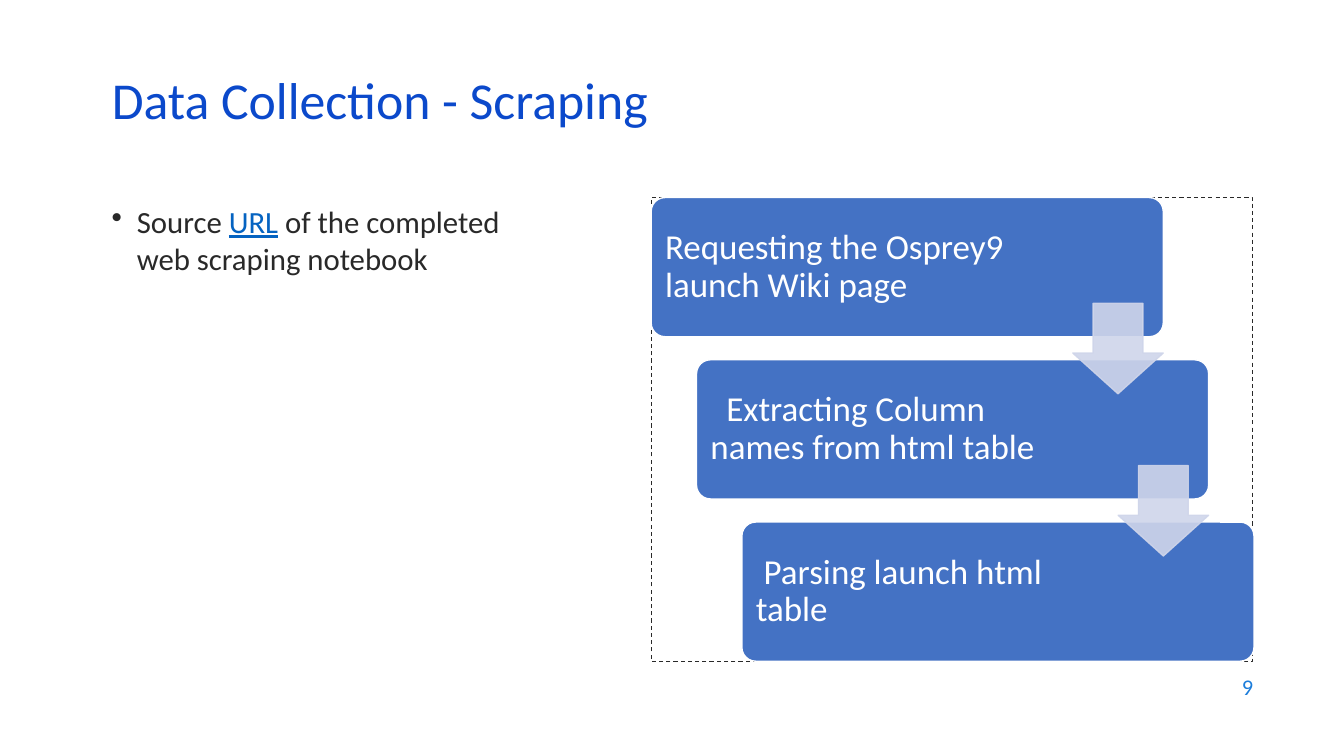
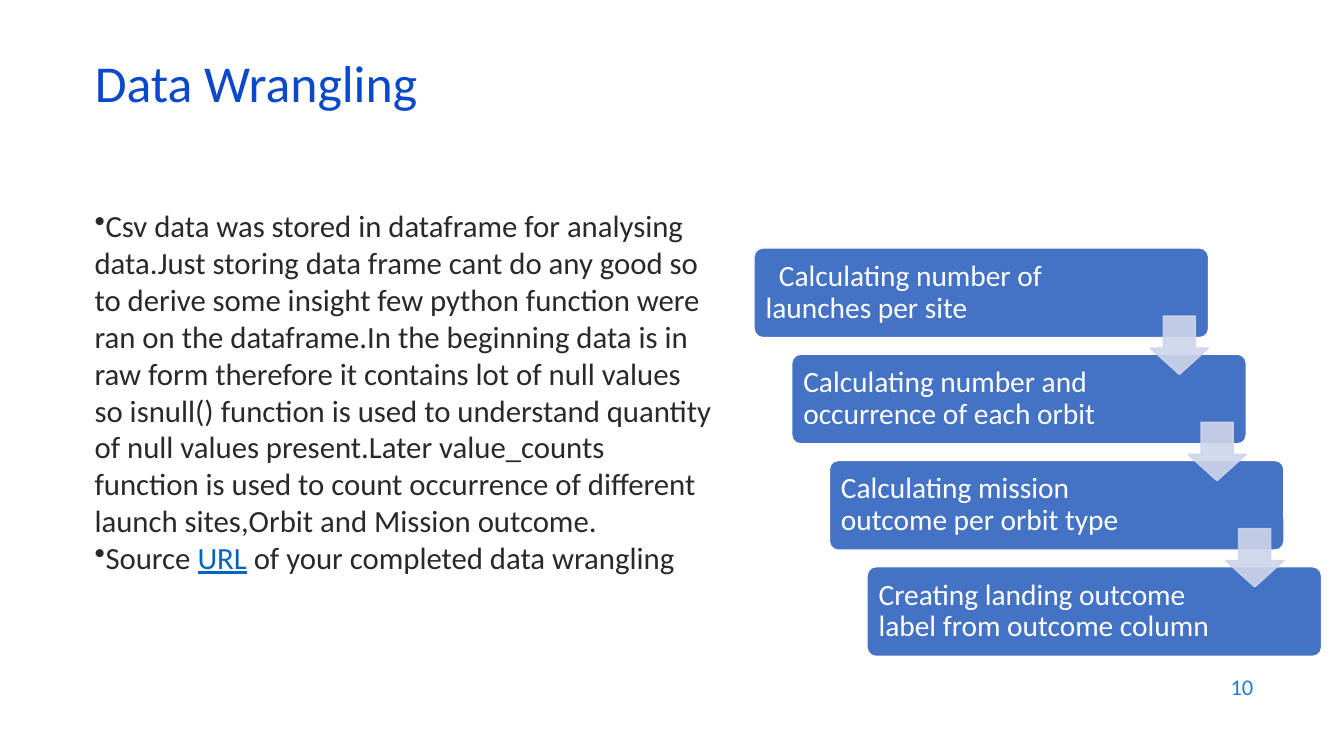
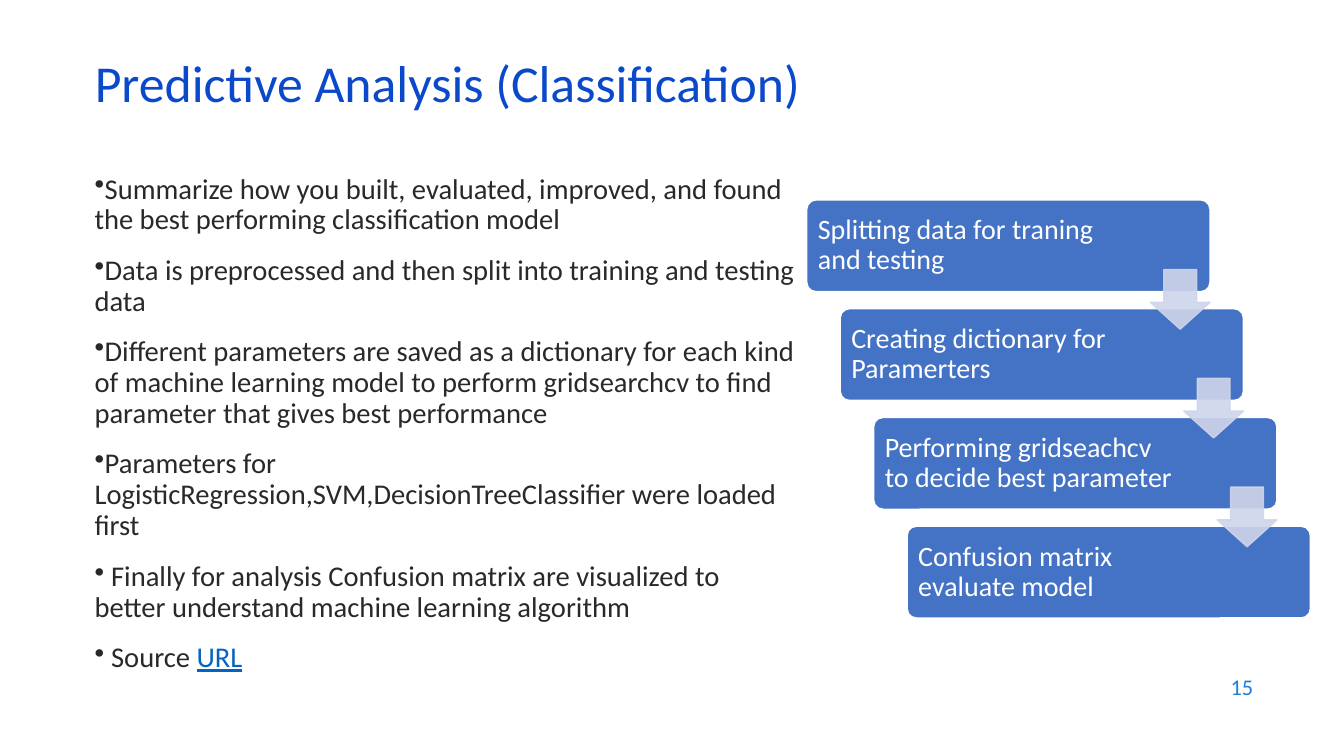
from pptx import Presentation
from pptx.dml.color import RGBColor
from pptx.enum.dml import MSO_LINE
from pptx.enum.shapes import MSO_SHAPE
from pptx.enum.text import MSO_ANCHOR, MSO_AUTO_SIZE, PP_ALIGN
from pptx.oxml.ns import qn
from pptx.util import Pt
from lxml import etree

# Shared style
BLUE, NUMBER_BLUE, LINK_BLUE = "0B49CB", "1C7DDB", "0563C1"
INK, WHITE, BOX_BLUE, ARROW_BLUE = "292929", "FFFFFF", "4472C4", "CFD5EA"
TITLE_W, TITLE_H = 828, 43.2
NUMBER_AT = (686.2, 474.5, 216, 31.7)
ARROW_SCALE, ARROW_DROP = 0.65, 0.76  # relative to box height


def rgb(value):
    return RGBColor.from_string(value)


def add_run(p, text, size, color, **extra):
    r = p.add_run()
    r.text = text
    r.font.color.rgb = rgb(color)
    for name, value in {"name": "Calibri", "size": Pt(size), **extra}.items():
        setattr(r.font, name, value)


# Slide content: each body paragraph is a list of runs, each step is (text, first-line indent)
slides = [
    {
        "number": "9", "title": "Data Collection - Scraping", "title_at": (72.7, 54.7),
        "body_at": (72.7, 141.1, 309.6, 300.2), "size": 22, "spacing": 1.0, "before": 0, "hang": 18,
        "body": [["Source ", "URL", " of the completed web scraping notebook"]],
        "frame": (465.1, 141.1, 429.8, 331.2),
        "start": (465.1, 141.1), "step": (32.4, 115.9), "box": (365.8, 99.4),
        "box_size": 25, "inset": 7.2, "right": 104.4,
        "steps": [("Requesting the Osprey9 launch Wiki page", 0),
                  ("Extracting Column names from html table", 11.3),
                  ("Parsing launch html table", 5.65)],
    },
    {
        "number": "10", "title": "Data Wrangling", "title_at": (60.5, 42.5),
        "body_at": (60.5, 144, 457.2, 342.7), "size": 22, "spacing": 1.0, "before": 0, "hang": 0,
        "body": [["Csv data was stored in dataframe for analysing data.Just storing data frame "
                  "cant do any good so to derive some insight few python function were ran on the "
                  "dataframe.In the beginning data is in raw form therefore it contains lot of "
                  "null values so isnull() function is used to understand quantity of null values "
                  "present.Later value_counts function is used to count occurrence of different "
                  "launch sites,Orbit and Mission outcome."],
                 ["Source ", "URL", " of your completed data wrangling"]],
        "start": (538.6, 177.1), "step": (26.9, 75.9), "box": (324.7, 64.1),
        "box_size": 21, "inset": 6.4, "right": 75.6,
        "steps": [("Calculating number of launches per site", 9.5),
                  ("Calculating number and occurrence of each orbit", 0),
                  ("Calculating mission outcome per orbit type", 0),
                  ("Creating landing outcome label from outcome column", 0)],
    },
    {
        "number": "15", "title": "Predictive Analysis (Classification)", "title_at": (60.5, 42.5),
        "body_at": (60.5, 121, 515.5, 365.8), "size": 20.4, "spacing": 0.9, "before": 14, "hang": 0,
        "body": [["Summarize how you built, evaluated, improved, and found the best performing "
                  "classification model"],
                 ["Data is preprocessed and then split into training and testing data"],
                 ["Different parameters are saved as a dictionary for each kind of machine "
                  "learning model to perform gridsearchcv to find parameter that gives best "
                  "performance"],
                 ["Parameters for LogisticRegression,SVM,DecisionTreeClassifier were loaded first"],
                 [" Finally for analysis Confusion matrix are visualized to better understand "
                  "machine learning algorithm"],
                 [" Source ", "URL"]],
        "start": (576.3, 142.8), "step": (23.9, 77.7), "box": (288, 65.5),
        "box_size": 20, "inset": 6, "right": 72.7,
        "steps": [("Splitting data for traning and testing", 0),
                  ("Creating dictionary for Paramerters", 0),
                  ("Performing gridseachcv to decide best parameter", 0),
                  ("Confusion matrix evaluate model", 0)],
    },
]

prs = Presentation()
prs.slide_width, prs.slide_height = Pt(960), Pt(540)

for d in slides:
    s = prs.slides.add_slide(prs.slide_layouts[5])

    # Title
    sp = s.shapes.title
    sp.left, sp.top, sp.width, sp.height = (Pt(v) for v in (*d["title_at"], TITLE_W, TITLE_H))
    tf = sp.text_frame
    for name, value in {"word_wrap": True, "auto_size": MSO_AUTO_SIZE.NONE,
                        "vertical_anchor": MSO_ANCHOR.MIDDLE}.items():
        setattr(tf, name, value)
    p = tf.paragraphs[0]
    p.alignment, p.line_spacing = PP_ALIGN.LEFT, 0.7
    add_run(p, d["title"], 37, BLUE)

    # Slide number
    tf = s.shapes.add_textbox(*(Pt(v) for v in NUMBER_AT)).text_frame
    tf.word_wrap, tf.vertical_anchor = True, MSO_ANCHOR.MIDDLE
    p = tf.paragraphs[0]
    p.alignment = PP_ALIGN.RIGHT
    add_run(p, d["number"], 16, NUMBER_BLUE)

    # Bulleted body
    tf = s.shapes.add_textbox(*(Pt(v) for v in d["body_at"])).text_frame
    tf.word_wrap = True
    for i, runs in enumerate(d["body"]):
        p = tf.add_paragraph() if i else tf.paragraphs[0]
        pPr = p._p.get_or_add_pPr()
        pPr.set("marL", str(Pt(d["hang"])))
        pPr.set("indent", str(-Pt(d["hang"])))
        etree.SubElement(pPr, qn("a:buChar"), char="•")
        p.line_spacing = d["spacing"]
        p.space_before = Pt(d["before"] if i else 0)
        for text in runs:
            is_link = text == "URL"
            add_run(p, text, d["size"], LINK_BLUE if is_link else INK, underline=is_link)

    # Dashed frame
    if "frame" in d:
        sp = s.shapes.add_shape(MSO_SHAPE.RECTANGLE, *(Pt(v) for v in d["frame"]))
        sp.shadow.inherit = False
        sp.fill.background()
        sp.line.color.rgb = rgb(INK)
        sp.line.width, sp.line.dash_style = Pt(0.75), MSO_LINE.DASH

    # Staircase of steps
    (x0, y0), (dx, dy), (w, h) = d["start"], d["step"], d["box"]
    for i, (text, indent) in enumerate(d["steps"]):
        sp = s.shapes.add_shape(MSO_SHAPE.ROUNDED_RECTANGLE,
                                Pt(x0 + i * dx), Pt(y0 + i * dy), Pt(w), Pt(h))
        sp.adjustments[0] = 0.1
        sp.shadow.inherit = False
        sp.fill.solid()
        sp.fill.fore_color.rgb = rgb(BOX_BLUE)
        sp.line.color.rgb = rgb(WHITE)
        sp.line.width = Pt(1)
        tf = sp.text_frame
        inset = Pt(d["inset"])
        for name, value in {"word_wrap": True, "vertical_anchor": MSO_ANCHOR.MIDDLE,
                            "margin_left": inset, "margin_top": inset, "margin_bottom": inset,
                            "margin_right": Pt(d["right"])}.items():
            setattr(tf, name, value)
        p = tf.paragraphs[0]
        p.alignment, p.line_spacing = PP_ALIGN.LEFT, 0.9
        p._p.get_or_add_pPr().set("indent", str(Pt(indent)))
        add_run(p, text, d["box_size"], WHITE)

    # Arrows between steps, flush with the right edge of the upper box
    side = h * ARROW_SCALE
    for i in range(len(d["steps"]) - 1):
        sp = s.shapes.add_shape(MSO_SHAPE.DOWN_ARROW, Pt(x0 + i * dx + w - side),
                                Pt(y0 + i * dy + h * ARROW_DROP), Pt(side), Pt(side))
        sp.adjustments[0], sp.adjustments[1] = 0.55, 0.45
        sp.shadow.inherit = False
        sp.fill.solid()
        sp.fill.fore_color.rgb = rgb(ARROW_BLUE)
        sp.line.color.rgb = rgb(ARROW_BLUE)
        sp.line.width = Pt(1)
        for color in sp._element.spPr.iter(qn("a:srgbClr")):
            etree.SubElement(color, qn("a:alpha"), val="90000")

prs.save("out.pptx")
